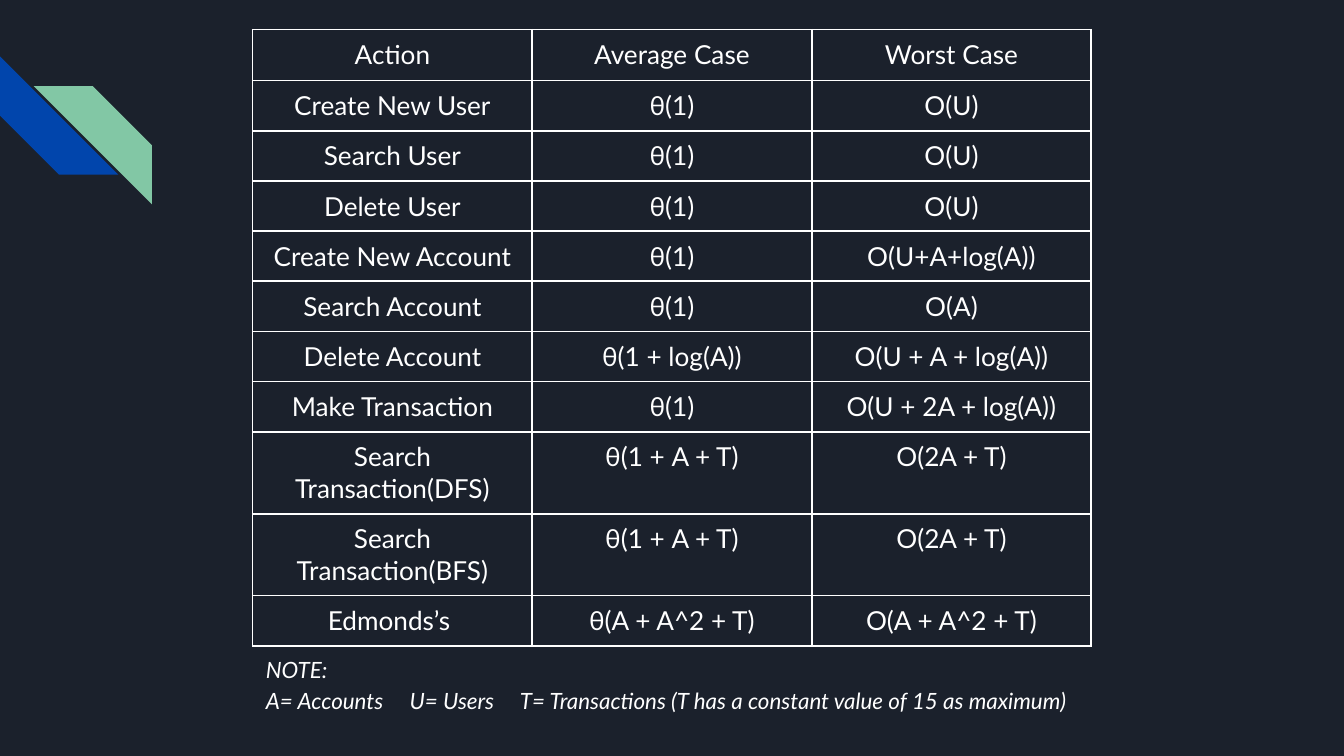
from lxml import etree
from pptx import Presentation
from pptx.dml.color import RGBColor
from pptx.enum.shapes import MSO_SHAPE
from pptx.enum.text import MSO_ANCHOR, PP_ALIGN
from pptx.oxml.ns import qn
from pptx.util import Inches, Pt

STRIPE = MSO_SHAPE.DIAGONAL_STRIPE
MIDDLE = MSO_ANCHOR.MIDDLE
CENTER = PP_ALIGN.CENTER
WHITE = "FFFFFF"
NAVY = "1B212C"
BLUE = "0145AC"
GREEN = "82C7A5"
SLIDE_WIDTH = 10
SLIDE_HEIGHT = SLIDE_WIDTH * 9 / 16
LEFT, WIDTH = 1.88, 6.24
HEADER_HEIGHT, ROW_HEIGHT, TALL_ROW_HEIGHT = 0.38, 0.37, 0.61
CELL_MARGIN, NOTE_MARGIN = 0.07, 0.1
SIDES = ("left", "right", "top", "bottom")

COMPLEXITIES = [
    ("Action", "Average Case", "Worst Case"),
    ("Create New User", "θ(1)", "O(U)"),
    ("Search User", "θ(1)", "O(U)"),
    ("Delete User", "θ(1)", "O(U)"),
    ("Create New Account", "θ(1)", "O(U+A+log(A))"),
    ("Search Account", "θ(1)", "O(A)"),
    ("Delete Account", "θ(1 + log(A))", "O(U + A + log(A))"),
    ("Make Transaction", "θ(1)", "O(U + 2A + log(A))"),
    ("Search Transaction(DFS)", "θ(1 + A + T)", "O(2A + T)"),
    ("Search Transaction(BFS)", "θ(1 + A + T)", "O(2A + T)"),
    ("Edmonds’s ", "θ(A + A^2 + T)", "O(A + A^2 + T)"),
]
NOTES = [
    "NOTE:",
    "A= Accounts\tU= Users\tT= Transactions (T has a constant value of 15 as maximum)",
]
NOTE_TABS = (1.07, 1.89)


def color(hex_string):
    """Turn a hex string into a colour."""
    return RGBColor.from_string(hex_string)


def paint(fill, hex_string):
    """Make a fill solid in one colour."""
    fill.solid()
    fill.fore_color.rgb = color(hex_string)


def apply_format(target, values):
    """Set every attribute in a dict of format values."""
    for name, value in values.items():
        setattr(target, name, value)


def margins(inches):
    """Return equal margins for all four sides."""
    return {f"margin_{side}": Inches(inches) for side in SIDES}


def write_paragraph(paragraph, text, font, layout):
    """Write one formatted run into a paragraph."""
    run = paragraph.add_run()
    run.text = text
    apply_format(run.font, {"name": "Lato", **font})
    run.font.color.rgb = color(WHITE)
    apply_format(paragraph, layout)


def add_stripe(slide, left, top, rotation, hex_string):
    """Add a rotated diagonal stripe."""
    shape = slide.shapes.add_shape(
        STRIPE, Inches(left), Inches(top), Inches(0.88), Inches(0.88)
    )
    shape.rotation = rotation
    shape.adjustments[0] = 0.5
    shape.shadow.inherit = False
    paint(shape.fill, hex_string)
    shape.line.fill.background()


def add_borders(cell):
    """Draw a thin white line on each side of a cell."""
    properties = cell._tc.get_or_add_tcPr()
    for position, tag in enumerate(("a:lnL", "a:lnR", "a:lnT", "a:lnB")):
        line = etree.Element(qn(tag), w=str(Pt(1)))
        fill = etree.SubElement(line, qn("a:solidFill"))
        etree.SubElement(fill, qn("a:srgbClr"), val=WHITE)
        properties.insert(position, line)


def row_height(index, action):
    """Choose the height of a row from its place and wrapped label."""
    if index == 0:
        return HEADER_HEIGHT
    return TALL_ROW_HEIGHT if len(action) > 20 else ROW_HEIGHT


def add_complexity_table(slide):
    """Add the table of average and worst cases."""
    heights = [row_height(i, row[0]) for i, row in enumerate(COMPLEXITIES)]
    columns = len(COMPLEXITIES[0])
    table = slide.shapes.add_table(
        len(COMPLEXITIES), columns, Inches(LEFT), Inches(0.22),
        Inches(WIDTH), Inches(sum(heights))
    ).table
    apply_format(table, {"first_row": False, "horz_banding": False})
    for column in table.columns:
        column.width = Inches(WIDTH / columns)
    for row, height, texts in zip(table.rows, heights, COMPLEXITIES):
        row.height = Inches(height)
        for cell, text in zip(row.cells, texts):
            apply_format(cell, margins(CELL_MARGIN))
            cell.fill.background()
            add_borders(cell)
            write_paragraph(
                cell.text_frame.paragraphs[0], text,
                {"size": Pt(14)}, {"alignment": CENTER}
            )


def add_tabs(paragraph, positions):
    """Set left tab stops on a paragraph."""
    tabs = etree.SubElement(paragraph._p.get_or_add_pPr(), qn("a:tabLst"))
    for position in positions:
        etree.SubElement(tabs, qn("a:tab"), pos=str(Inches(position)), algn="l")


def add_notes_box(slide):
    """Add the legend below the table."""
    frame = slide.shapes.add_textbox(
        Inches(LEFT), Inches(4.74), Inches(WIDTH), Inches(0.69)
    ).text_frame
    apply_format(frame, {
        "word_wrap": True, "vertical_anchor": MIDDLE, **margins(NOTE_MARGIN)
    })
    for index, text in enumerate(NOTES):
        paragraph = frame.add_paragraph() if index else frame.paragraphs[0]
        write_paragraph(
            paragraph, text,
            {"size": Pt(12), "italic": True}, {"line_spacing": 1.15}
        )
    add_tabs(paragraph, NOTE_TABS)


def main():
    """Build and save the slide."""
    presentation = Presentation()
    apply_format(presentation, {
        "slide_width": Inches(SLIDE_WIDTH),
        "slide_height": Inches(SLIDE_HEIGHT),
    })
    slide = presentation.slides.add_slide(presentation.slide_layouts[6])
    paint(slide.background.fill, NAVY)
    add_stripe(slide, 0, 0.42, 270, BLUE)
    add_stripe(slide, 0.25, 0.64, 90, GREEN)
    add_complexity_table(slide)
    add_notes_box(slide)
    presentation.save("out.pptx")


if __name__ == "__main__":
    main()
